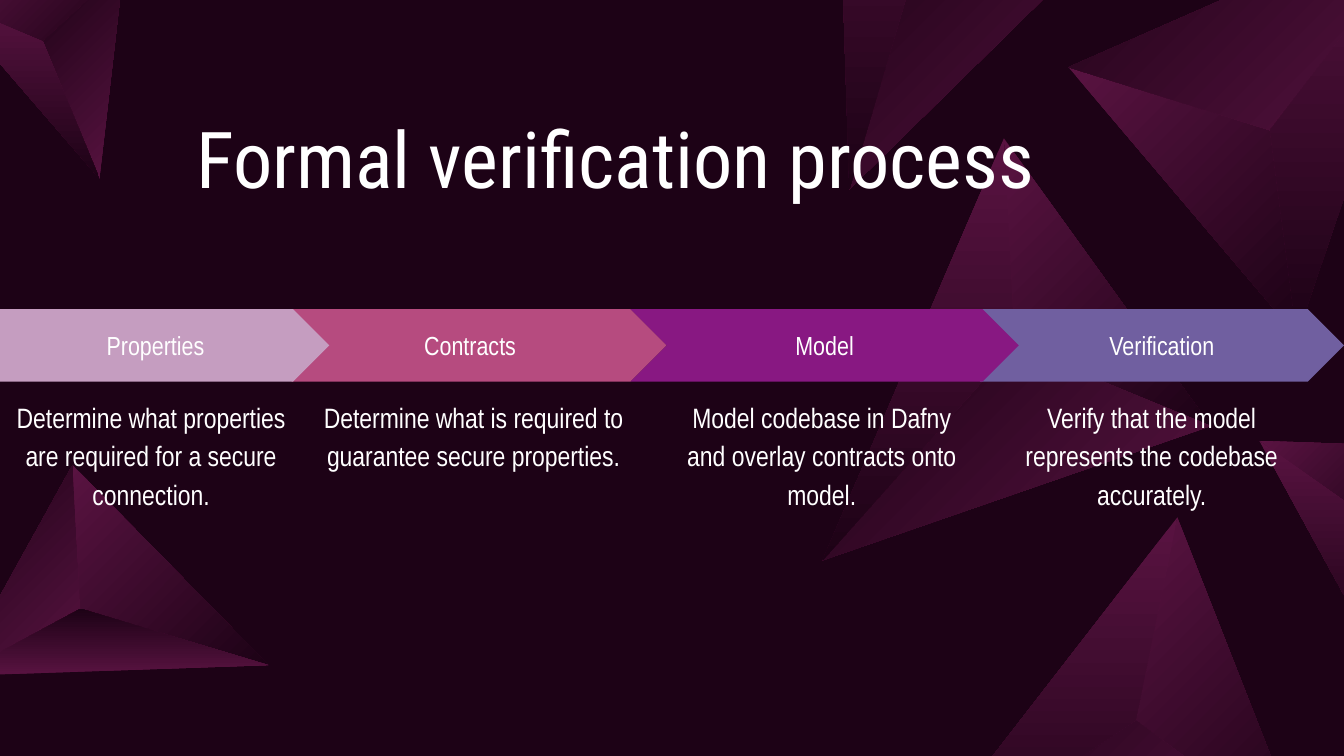
from dataclasses import dataclass

from pptx import Presentation
from pptx.dml.color import RGBColor
from pptx.enum.shapes import MSO_SHAPE
from pptx.enum.text import MSO_ANCHOR, PP_ALIGN
from pptx.util import Inches, Pt

CHEVRON, PLATE = MSO_SHAPE.CHEVRON, MSO_SHAPE.PENTAGON
TOP, MIDDLE, BOTTOM = MSO_ANCHOR.TOP, MSO_ANCHOR.MIDDLE, MSO_ANCHOR.BOTTOM
LEFT, CENTER = PP_ALIGN.LEFT, PP_ALIGN.CENTER
HEAD, BODY = "Roboto Condensed", "Arial Narrow"
WHITE, DARK, PLUM = "FFFFFF", "1D0216", "591341"
WIDTH = 10
HEIGHT = WIDTH * 9 / 16
BAR_TOP, BAR_H = 2.3, 0.54

Point = tuple[float, float]


@dataclass
class Pyramid:
    a: Point
    b: Point
    c: Point
    peak: Point
    turn: float = 0


@dataclass
class Step:
    name: str
    note: str
    kind: MSO_SHAPE
    fill: str
    left: float
    width: float
    note_left: float
    note_width: float
    note_height: float = 2.11


PYRAMIDS = [
    Pyramid((9.65, 2.5), (7.95, 0.5), (10.75, -0.73), (9.45, 0.97)),
    Pyramid((-0.33, 5.03), (0.54, 3.46), (2, 4.95), (0.6, 4.53), 180),
    Pyramid((7.47, 1.03), (9.01, 3.17), (6.12, 4.17), (7.55, 2.57)),
    Pyramid((8.76, 3.85), (9.72, 6.3), (6.67, 6.55), (8.45, 5.36)),
    Pyramid((9.37, 3.28), (10.73, 3.33), (10.22, 4.83), (10.02, 3.74)),
    Pyramid((6.21, -2), (8.51, -0.74), (6.32, 1.41), (6.93, -0.65)),
    Pyramid((-0.41, 0), (0.92, -0.24), (0.74, 1.33), (0.32, 0.31)),
]

# Back to front: later bars overlap earlier ones
STEPS = [
    Step("Verification",
         "Verify that the model represents the codebase accurately.",
         CHEVRON, "705FA0", 7.29, 2.71, 7.5, 2.14, 1.04),
    Step("Contracts",
         "Determine what is required to guarantee secure properties.",
         PLATE, "B64B7F", 2.17, 2.79, 2.3, 2.45),
    Step("Model",
         "Model codebase in Dafny and overlay contracts onto model.",
         CHEVRON, "881882", 4.69, 2.89, 4.89, 2.45),
    Step("Properties",
         "Determine what properties are required for a secure connection.",
         PLATE, "C59DC0", 0, 2.45, -0.03, 2.31),
]


def color(code: str) -> RGBColor:
    return RGBColor.from_string(code)


def write(shape, text: str, size: float, font: str = BODY, align=CENTER,
          anchor=TOP, inset: float = 0.1, space: float = 1.0) -> None:
    frame = shape.text_frame
    frame.word_wrap = True
    frame.vertical_anchor = anchor
    frame.margin_left = frame.margin_right = Inches(inset)
    frame.margin_top = frame.margin_bottom = Inches(inset)
    para = frame.paragraphs[0]
    para.alignment = align
    para.line_spacing = space
    run = para.add_run()
    run.text = text
    run.font.size = Pt(size)
    run.font.name = font
    run.font.color.rgb = color(WHITE)


def add_box(slide, left: float, top: float, width: float, height: float):
    return slide.shapes.add_textbox(
        Inches(left), Inches(top), Inches(width), Inches(height))


def add_face(slide, points: list[Point], angle: float) -> None:
    spots = [(Inches(x), Inches(y)) for x, y in points]
    path = slide.shapes.build_freeform(*spots[0])
    path.add_line_segments(spots[1:], close=True)
    face = path.convert_to_shape()
    face.shadow.inherit = False
    face.line.fill.background()
    face.fill.gradient()
    face.fill.gradient_angle = angle
    for stop, code in zip(face.fill.gradient_stops, (PLUM, DARK)):
        stop.color.rgb = color(code)


def shows(points: list[Point]) -> bool:
    xs, ys = zip(*points)
    return max(xs) > 0 and min(xs) < WIDTH and max(ys) > 0 and min(ys) < HEIGHT


def add_pyramid(slide, form: Pyramid) -> None:
    faces = [
        ([form.a, form.b, form.peak], 315),
        ([form.b, form.c, form.peak], 135),
        ([form.a, form.peak, form.c], 270),
    ]
    for points, angle in faces:
        if shows(points):
            add_face(slide, points, (angle + form.turn) % 360)


def add_step(slide, step: Step) -> None:
    bar = slide.shapes.add_shape(
        step.kind, Inches(step.left), Inches(BAR_TOP),
        Inches(step.width), Inches(BAR_H))
    bar.shadow.inherit = False
    bar.fill.solid()
    bar.fill.fore_color.rgb = color(step.fill)
    bar.line.fill.background()
    write(bar, step.name, 14, anchor=MIDDLE)
    note = add_box(slide, step.note_left, BAR_TOP + BAR_H,
                   step.note_width, step.note_height)
    write(note, step.note, 15, space=1.15)


def main() -> None:
    deck = Presentation()
    deck.slide_width, deck.slide_height = Inches(WIDTH), Inches(HEIGHT)
    slide = deck.slides.add_slide(deck.slide_layouts[6])

    # Backdrop
    slide.background.fill.solid()
    slide.background.fill.fore_color.rgb = color(DARK)
    for form in PYRAMIDS:
        add_pyramid(slide, form)

    # Title
    title = add_box(slide, 1.46, 0.88, 7.08, 0.65)
    write(title, "Formal verification process", 42, HEAD, LEFT, BOTTOM, 0, 0.9)

    # Process steps
    for step in STEPS:
        add_step(slide, step)

    deck.save("out.pptx")


if __name__ == "__main__":
    main()
